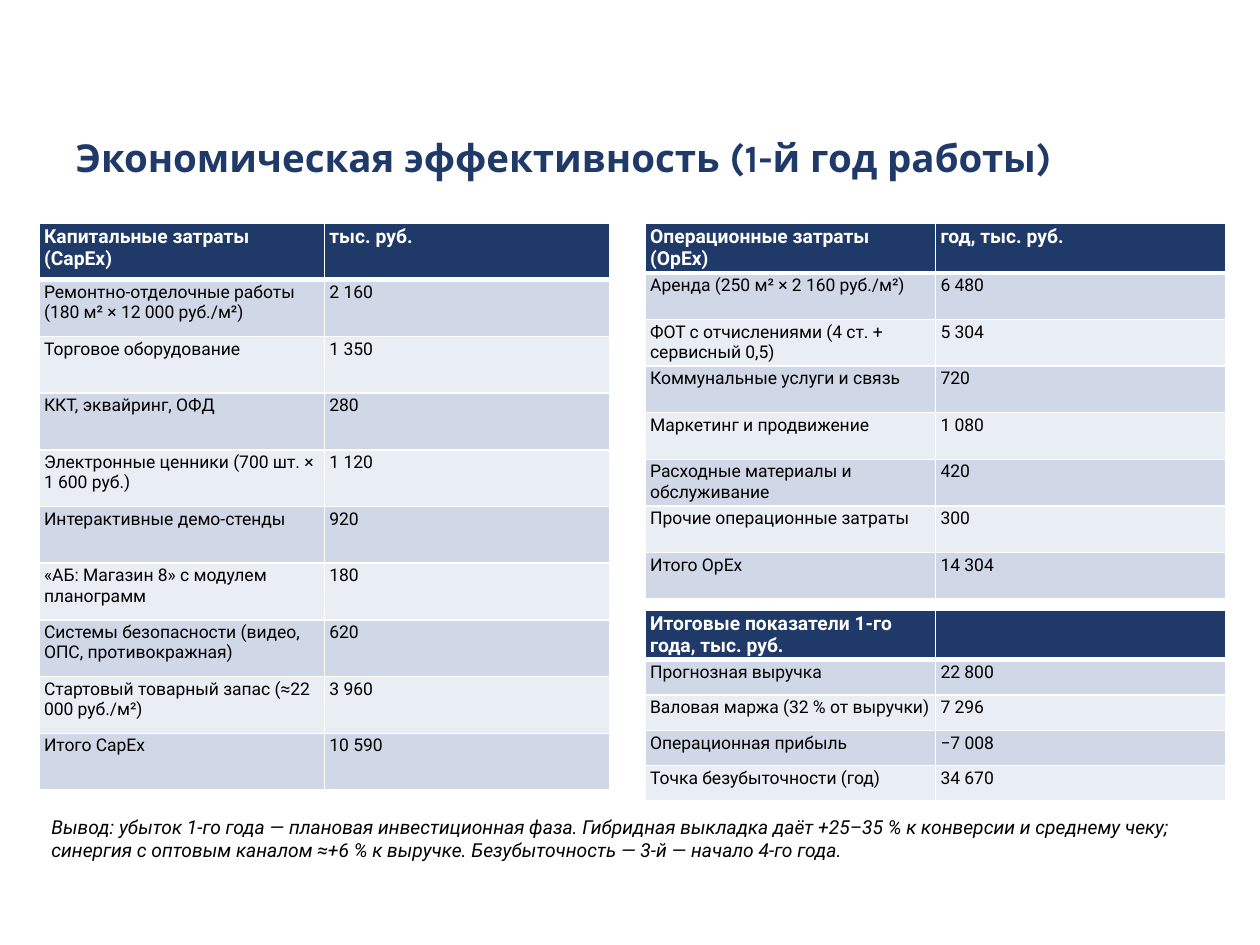
from lxml.etree import SubElement
from pptx import Presentation
from pptx.dml.color import RGBColor
from pptx.enum.text import MSO_ANCHOR, PP_ALIGN
from pptx.oxml.ns import qn
from pptx.util import Inches, Pt


def color(value):
    return RGBColor.from_string(value)


class Report:
    navy, white, black = "1F3A68", "FFFFFF", "000000"
    bands = ("D0D8E8", "E9EDF4")
    title_font, body_font = "Karla", "Roboto"

    def __init__(self, deck):
        self.page = deck.slides.add_slide(deck.slide_layouts[5])

    def style(self, frame, size, ink, font=body_font, bold=False, italic=False):
        for para in frame.paragraphs:
            para.alignment = PP_ALIGN.LEFT
            for span in para.runs:
                span.font.size = Pt(size)
                span.font.name = font
                span.font.bold = bold
                span.font.italic = italic
                span.font.color.rgb = color(ink)

    def title(self, text, left, top, width, height):
        box = self.page.shapes.title
        box.left, box.top = Inches(left), Inches(top)
        box.width, box.height = Inches(width), Inches(height)
        box.text_frame.text = text
        box.text_frame.vertical_anchor = MSO_ANCHOR.MIDDLE
        self.style(box.text_frame, 22, self.navy, self.title_font, bold=True)

    def borders(self, cell, widths):
        properties = cell._tc.get_or_add_tcPr()
        for side, width in widths.items():
            line = SubElement(properties, qn(f"a:ln{side}"), w=str(Pt(width)))
            fill = SubElement(line, qn("a:solidFill"))
            SubElement(fill, qn("a:srgbClr"), val=self.white)

    def table(self, rows, left, top, width, row_height):
        table = self.page.shapes.add_table(
            len(rows), 2, Inches(left), Inches(top),
            Inches(width), Inches(row_height * len(rows))).table
        table.horz_banding = False
        for r, row in enumerate(rows):
            header = r == 0
            for c, text in enumerate(row):
                cell = table.cell(r, c)
                cell.margin_left = cell.margin_right = Inches(0.04)
                cell.margin_top = cell.margin_bottom = Inches(0.02)
                # A thick rule separates the header from the body
                self.borders(cell, {"L": 1, "R": 1, "T": 3 if r == 1 else 1,
                                    "B": 3 if header else 1})
                cell.fill.solid()
                cell.fill.fore_color.rgb = color(
                    self.navy if header else self.bands[(r - 1) % 2])
                cell.text_frame.text = text
                self.style(cell.text_frame, 11 if header else 10,
                           self.white if header else self.black, bold=header)

    def note(self, text, left, top, width, height):
        box = self.page.shapes.add_textbox(
            Inches(left), Inches(top), Inches(width), Inches(height))
        box.text_frame.word_wrap = True
        box.text_frame.text = text
        self.style(box.text_frame, 11, self.black, italic=True)


CAPEX = [
    ("Капитальные затраты (CapEx)", "тыс. руб."),
    ("Ремонтно-отделочные работы (180 м² × 12 000 руб./м²)", "2 160"),
    ("Торговое оборудование", "1 350"),
    ("ККТ, эквайринг, ОФД", "280"),
    ("Электронные ценники (700 шт. × 1 600 руб.)", "1 120"),
    ("Интерактивные демо-стенды", "920"),
    ("«АБ: Магазин 8» с модулем планограмм", "180"),
    ("Системы безопасности (видео, ОПС, противокражная)", "620"),
    ("Стартовый товарный запас (≈22 000 руб./м²)", "3 960"),
    ("Итого CapEx", "10 590"),
]
OPEX = [
    ("Операционные затраты (OpEx)", "год, тыс. руб."),
    ("Аренда (250 м² × 2 160 руб./м²)", "6 480"),
    ("ФОТ с отчислениями (4 ст. + сервисный 0,5)", "5 304"),
    ("Коммунальные услуги и связь", "720"),
    ("Маркетинг и продвижение", "1 080"),
    ("Расходные материалы и обслуживание", "420"),
    ("Прочие операционные затраты", "300"),
    ("Итого OpEx", "14 304"),
]
RESULTS = [
    ("Итоговые показатели 1-го года, тыс. руб.", ""),
    ("Прогнозная выручка", "22 800"),
    ("Валовая маржа (32 % от выручки)", "7 296"),
    ("Операционная прибыль", "−7 008"),
    ("Точка безубыточности (год)", "34 670"),
]


def main():
    deck = Presentation()
    deck.slide_width, deck.slide_height = Inches(10), Inches(7.5)
    report = Report(deck)

    # Heading
    report.title("Экономическая эффективность (1-й год работы)", 0.5, 0.85, 9, 0.8)

    # Costs on both sides, yearly results below right
    report.table(CAPEX, 0.31, 1.77, 4.53, 0.45)
    report.table(OPEX, 5.12, 1.77, 4.61, 0.37)
    report.table(RESULTS, 5.12, 4.84, 4.61, 0.28)

    # Conclusion
    report.note(
        "Вывод: убыток 1-го года — плановая инвестиционная фаза. "
        "Гибридная выкладка даёт +25–35 % к конверсии и среднему чеку; "
        "синергия с оптовым каналом ≈+6 % к выручке. "
        "Безубыточность — 3-й — начало 4-го года.", 0.31, 6.42, 9.41, 0.51)

    deck.save("out.pptx")


if __name__ == "__main__":
    main()
